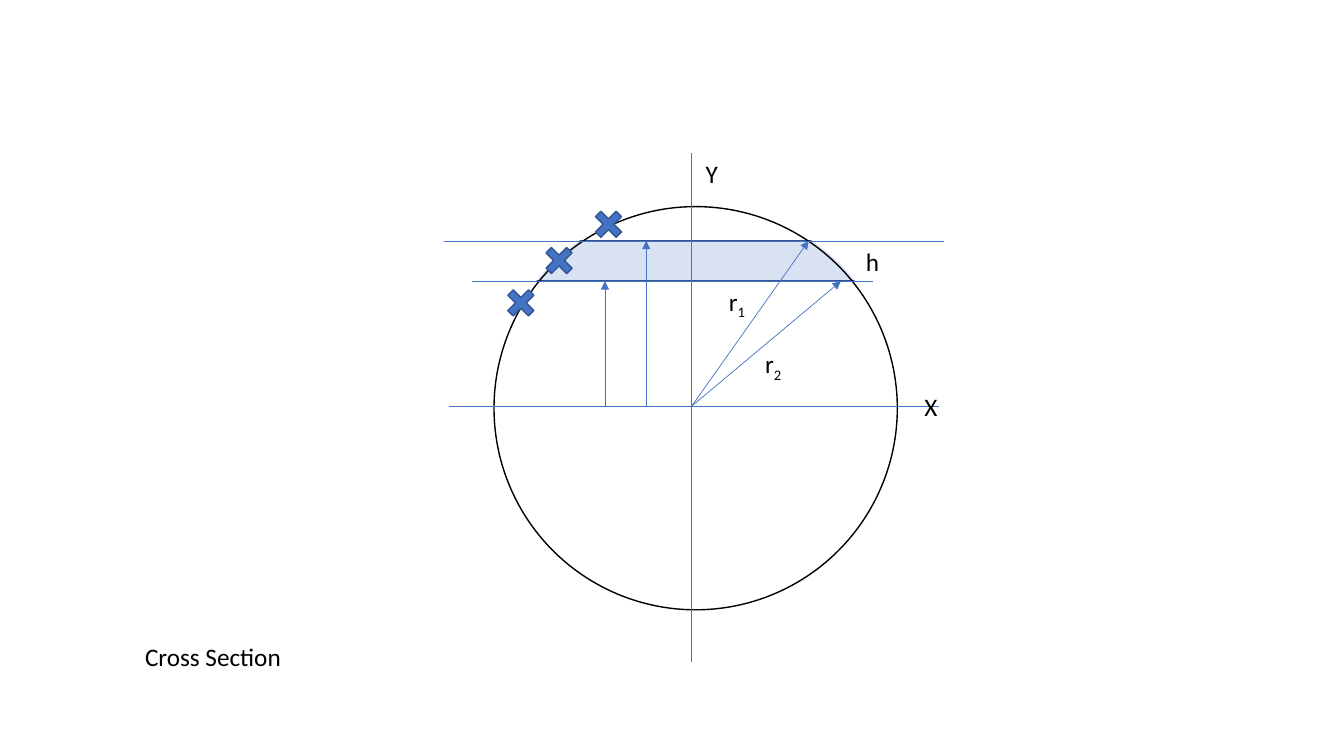
import pptx
import pptx.util
import pptx.dml.color
import pptx.enum.shapes
import pptx.enum.text
import pptx.oxml
import pptx.oxml.ns

Inches = pptx.util.Inches
Kind = pptx.enum.shapes.MSO_SHAPE
qn = pptx.oxml.ns.qn
COLORS = {"blue": "4472C4", "edge": "325491", "band": "B4C7E7",
          "black": "000000", "white": "FFFFFF"}


def color(name):
    """Return the named colour."""
    return pptx.dml.color.RGBColor.from_string(COLORS[name])


def child(parent, tag, **attrs):
    """Append an XML child with the given attributes."""
    node = pptx.oxml.parse_xml(
        '<%s xmlns:a="http://schemas.openxmlformats.org/drawingml/2006/main"/>' % tag)
    for key, value in attrs.items():
        node.set(key, value)
    parent.append(node)


class Sketch:
    """Style and current slide of the drawing."""

    font = "Calibri"
    size = pptx.util.Pt(18)
    thin = pptx.util.Pt(0.5)
    thick = pptx.util.Pt(1)

    def __init__(self, slide):
        """Keep the slide to draw on."""
        self.shapes = slide.shapes

    def shape(self, kind, box, fill=None, line=None, adjust=None, alpha=None):
        """Add a preset shape; box is left, top, width, height."""
        item = self.shapes.add_shape(kind, *map(Inches, box))
        item.shadow.inherit = False
        if adjust is not None:
            item.adjustments[0] = adjust
        if fill:
            item.fill.solid()
            item.fill.fore_color.rgb = color(fill)
            if alpha:
                tint = item._element.spPr.find(qn("a:solidFill"))[0]
                child(tint, "a:alpha", val=str(alpha * 1000))
        else:
            item.fill.background()
        if line:
            item.line.color.rgb = color(line)
            item.line.width = self.thick
        else:
            item.line.fill.background()
        return item

    def line(self, start, end, arrow=False):
        """Add a thin straight line, with an arrowhead at its end if asked."""
        item = self.shapes.add_connector(
            pptx.enum.shapes.MSO_CONNECTOR.STRAIGHT, *map(Inches, start + end))
        item.line.color.rgb = color("blue")
        item.line.width = self.thin
        if arrow:
            child(item.line._get_or_add_ln(), "a:tailEnd", type="triangle")
        child(item._element.spPr, "a:effectLst")

    def label(self, text, box, sub=""):
        """Add a label with an optional subscript."""
        frame = self.shapes.add_textbox(*map(Inches, box)).text_frame
        frame.word_wrap = False
        frame.auto_size = pptx.enum.text.MSO_AUTO_SIZE.SHAPE_TO_FIT_TEXT
        para = frame.paragraphs[0]
        para.font.name = self.font
        para.font.size = self.size
        para.font.color.rgb = color("black")
        para.add_run().text = text
        if sub:
            run = para.add_run()
            run.text = sub
            run.font._element.set("baseline", "-25000")

    def cross(self, left, top):
        """Add a diagonal cross marker."""
        item = self.shape(Kind.CROSS, (left, top, 0.29, 0.29),
                          "blue", "edge", adjust=0.37)
        item.rotation = 45


def main():
    """Build the cross section slide."""
    deck = pptx.Presentation()
    deck.slide_width = Inches(13.33)
    deck.slide_height = Inches(7.5)
    art = Sketch(deck.slides.add_slide(deck.slide_layouts[6]))

    mid, base = 6.86, 4.03
    high, low = 2.39, 2.79

    # The white ring trims the band to the circle
    art.shape(Kind.RECTANGLE, (5.1, high, 3.6, low - high),
              "band", "edge", alpha=50)
    art.shape(Kind.DONUT, (4.37, 1.52, 5.06, 5.06), "white", adjust=0.1)
    art.shape(Kind.OVAL, (4.9, 2.05, 4, 4), line="black")

    art.line((4.45, base), (9.31, base))
    art.line((mid, 1.52), (mid, 6.57))
    art.line((9.36, high), (4.4, high))
    art.line((8.66, low), (4.68, low))
    for foot, tip, top in ((mid, 8.02, high), (mid, 8.34, low),
                           (6, 6, low), (6.41, 6.41, high)):
        art.line((foot, base), (tip, top), arrow=True)

    for text, left, top, width, sub in (
            ("h", 8.49, high, 0.34, ""), ("r", 7.13, low, 0.38, "1"),
            ("r", 7.49, 3.41, 0.38, "2"), ("X", 9.07, 3.83, 0.33, ""),
            ("Y", 6.9, 1.52, 0.32, ""), ("Cross Section", 1.34, 6.31, 1.57, "")):
        art.label(text, (left, top, width, 0.4), sub)

    for left, top in ((5.4, 2.44), (5.02, 2.86), (5.89, 2.08)):
        art.cross(left, top)

    deck.save("out.pptx")


main()
